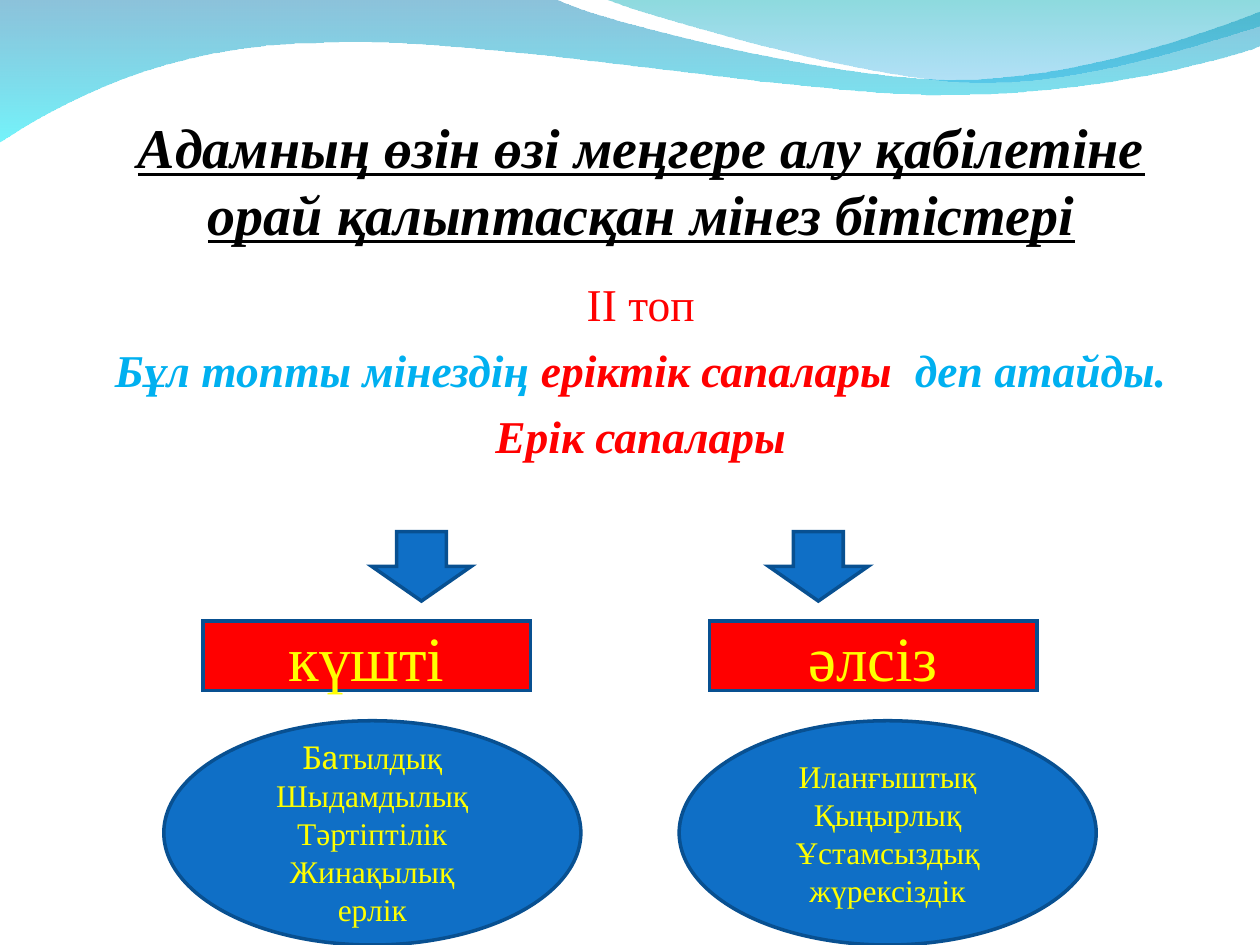
"""Build a slide on strong and weak traits of will."""
import lxml.etree
import pptx
import pptx.dml.color
import pptx.enum.shapes
import pptx.enum.text
import pptx.oxml.ns
import pptx.util
from pptx.util import Inches

RGBColor = pptx.dml.color.RGBColor
BLACK = RGBColor(0x00, 0x00, 0x00)
RED = RGBColor(0xFF, 0x00, 0x00)
YELLOW = RGBColor(0xFF, 0xFF, 0x00)
SKY = RGBColor(0x00, 0xB0, 0xF0)
BLUE = RGBColor(0x0F, 0x6F, 0xC6)
OUTLINE = RGBColor(0x08, 0x50, 0x91)
WAVE_BLUE = RGBColor(0x00, 0x79, 0xAF)
WAVE_CYAN = RGBColor(0x00, 0xEB, 0xF8)
WAVE_TEAL = RGBColor(0x00, 0xAD, 0xB6)
WAVE_AZURE = RGBColor(0x00, 0x9B, 0xE5)
SERIF = "Times New Roman"
CENTER = pptx.enum.text.PP_ALIGN.CENTER
MIDDLE = pptx.enum.text.MSO_ANCHOR.MIDDLE
SHAPE = pptx.enum.shapes.MSO_SHAPE
qn = pptx.oxml.ns.qn


def add_span(para, text, size, color, font=SERIF, strong=False):
    span = para.add_run()
    span.text = text
    span.font.name = font
    span.font.size = pptx.util.Pt(size)
    span.font.color.rgb = color
    span.font.bold = span.font.italic = strong
    para.alignment = CENTER
    return span


def add_block(kind, left, top, width, height, fill):
    block = slide.shapes.add_shape(
        kind, Inches(left), Inches(top), Inches(width), Inches(height))
    block.shadow.inherit = False
    block.fill.solid()
    block.fill.fore_color.rgb = fill
    block.line.color.rgb = OUTLINE
    block.line.width = pptx.util.Pt(2)
    outline = block.element.spPr.find(qn("a:ln"))
    lxml.etree.SubElement(outline, qn("a:miter")).set("lim", "800000")
    block.text_frame.word_wrap = True
    block.text_frame.vertical_anchor = MIDDLE
    return block


deck = pptx.Presentation()
deck.slide_width, deck.slide_height = Inches(10), Inches(7.5)
slide = deck.slides.add_slide(deck.slide_layouts[5])

waves = [
    ([[(0, -0.01)], [(4.4, -0.01)],
      [(4.76, 0.17), (6.64, 0.63), (7.58, 0.63)],
      [(8.53, 0.63), (9.58, 0.26), (10, 0.09)],
      [(10.01, 0.36)],
      [(9.83, 0.44), (8.7, 0.76), (7.46, 0.75)],
      [(6.22, 0.75), (3.82, 0.28), (2.57, 0.34)],
      [(1.29, 0.35), (0.46, 0.83), (-0.01, 1.13)],
      [(0, -0.01)]],
     [(WAVE_BLUE, 45), (WAVE_CYAN, 55)]),
    ([[(4.79, -0.01)],
      [(5.09, 0.11), (6.82, 0.62), (7.69, 0.65)],
      [(8.56, 0.69), (9.61, 0.32), (10, 0.21)],
      [(10, 0)], [(4.79, -0.01)]],
     [(WAVE_TEAL, 45), (WAVE_AZURE, 30)]),
]
for segments, stops in waves:
    points = [(Inches(x), Inches(y)) for segment in segments for x, y in segment]
    builder = slide.shapes.build_freeform(*points[0])
    builder.add_line_segments(points[1:], close=True)
    wave = builder.convert_to_shape()
    wave.shadow.inherit = False
    wave.line.fill.background()
    wave.fill.gradient()
    wave.fill.gradient_angle = 270
    for position, (stop, (color, opacity)) in enumerate(zip(wave.fill.gradient_stops, stops)):
        stop.position = position
        stop.color.rgb = color
    tints = wave.element.spPr.findall(".//" + qn("a:srgbClr"))
    for tint, (color, opacity) in zip(tints, stops):
        alpha = lxml.etree.SubElement(tint, qn("a:alpha"))
        alpha.set("val", str(opacity * 1000))

    line_steps = iter(wave.element.spPr.findall(".//" + qn("a:lnTo")))
    for segment in segments[1:]:
        steps = [next(line_steps) for point in segment]
        if len(steps) == 3:
            steps[0].tag = qn("a:cubicBezTo")
            for step in steps[1:]:
                steps[0].append(step[0])
                step.getparent().remove(step)

title = slide.shapes.title
title.left, title.top, title.width, title.height = (
    Inches(0.59), Inches(0.71), Inches(9), Inches(1.25))
frame = title.text_frame
frame.word_wrap = True
frame.auto_size = pptx.enum.text.MSO_AUTO_SIZE.NONE
frame.vertical_anchor = pptx.enum.text.MSO_ANCHOR.BOTTOM
frame.margin_left = frame.margin_right = frame.margin_bottom = 0
heading = add_span(
    frame.paragraphs[0],
    "Адамның өзін өзі меңгере алу қабілетіне орай қалыптасқан мінез бітістері",
    32, BLACK, strong=True)
heading.font.underline = True

body = slide.shapes.add_textbox(Inches(0.59), Inches(1.61), Inches(8.99), Inches(6.06))
body.text_frame.word_wrap = True
body.text_frame.margin_top = Inches(0.58)
body_lines = [
    [("ІІ топ", RED, False)],
    [("Бұл топты мінездің ", SKY, True), ("еріктік сапалары ", RED, True),
     (" деп атайды.", SKY, True)],
    [("Ерік сапалары", RED, True)],
]
for index, line in enumerate(body_lines):
    para = body.text_frame.add_paragraph() if index else body.text_frame.paragraphs[0]
    para.space_before = pptx.util.Pt(6.5 if index else 0)
    for text, color, strong in line:
        add_span(para, text, 26, color, strong=strong)

for left in (2.95, 6.1):
    add_block(SHAPE.DOWN_ARROW, left, 4.22, 0.79, 0.55, BLUE)

for left, label in ((1.61, "күшті"), (5.63, "әлсіз")):
    box = add_block(SHAPE.RECTANGLE, left, 4.93, 2.6, 0.55, RED)
    add_span(box.text_frame.paragraphs[0], label, 36, YELLOW)

trait_groups = [
    (5.39, [[("Иланғыштық", SERIF)], [("Қыңырлық", SERIF)],
            [("Ұстамсыздық", SERIF)], [("жүрексіздік", SERIF)]]),
    (1.3, [[("Ба", "Cambria"), ("тылдық", SERIF)], [("Шыдамдылық", SERIF)],
           [("Тәртіптілік", SERIF)], [("Жинақылық", SERIF)], [("ерлік", SERIF)]]),
]
for left, traits in trait_groups:
    oval = add_block(SHAPE.OVAL, left, 5.72, 3.31, 1.78, BLUE)
    for index, trait in enumerate(traits):
        para = oval.text_frame.add_paragraph() if index else oval.text_frame.paragraphs[0]
        for text, font in trait:
            add_span(para, text, 18, YELLOW, font=font)

deck.save("out.pptx")
